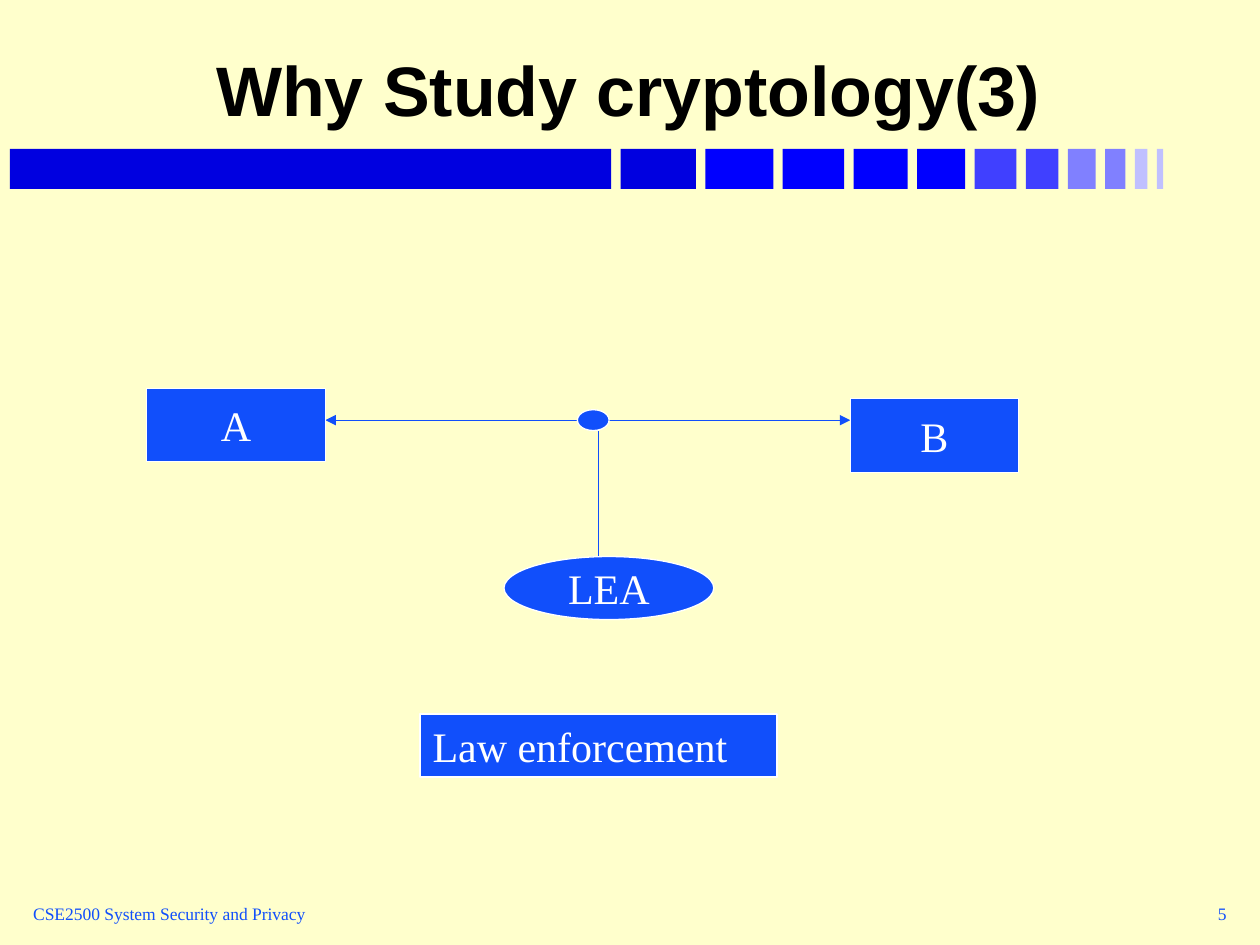
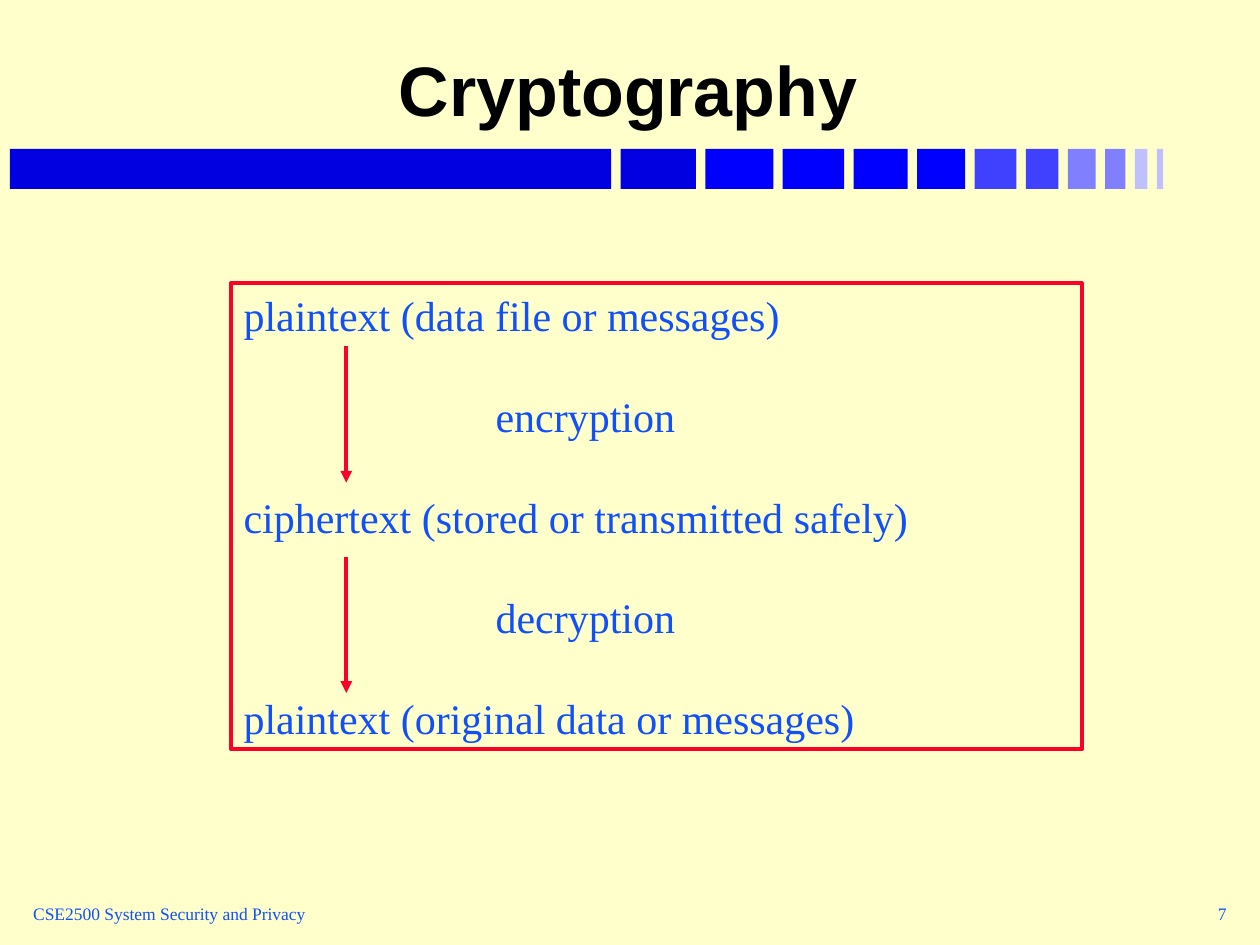
from typing import NamedTuple

from lxml.etree import SubElement
from pptx import Presentation
from pptx.dml.color import RGBColor
from pptx.enum.shapes import MSO_CONNECTOR, MSO_SHAPE
from pptx.enum.text import MSO_ANCHOR, MSO_AUTO_SIZE, PP_ALIGN
from pptx.oxml.ns import qn
from pptx.util import Cm, Pt

# Shared style
CREAM, BLUE, RED, WHITE, BLACK = "FFFFCC", "114FFB", "FC0128", "FFFFFF", "000000"
TITLE_FONT, BODY_FONT = "Arial", "Times New Roman"
BODY_SIZE = 24
LINE_FACTOR = 1.2
COURSE = "CSE2500 System Security and Privacy"

# Band under the title: evenly spaced bars that shrink and fade
BAND_LEFT, BAND_TOP, BAND_HEIGHT, BAND_GAP = 0.2, 3.0, 0.81, 0.19
BAND = [
    (12.12, "0000E0"), (1.52, "0000E0"), (1.37, "0000FF"), (1.24, "0000FF"),
    (1.09, "0000FF"), (0.97, "0000FF"), (0.84, "4040FF"), (0.66, "4040FF"),
    (0.56, "8080FF"), (0.41, "8080FF"), (0.25, "C0C0FF"), (0.13, "C0C0FF"),
]


class Area(NamedTuple):
    """Left, top, width and height in centimetres."""
    left: float
    top: float
    width: float
    height: float

    def lengths(self):
        return [Cm(value) for value in self]


class Node(NamedTuple):
    area: Area
    text: str = ""
    kind: MSO_SHAPE = MSO_SHAPE.RECTANGLE
    align: PP_ALIGN = PP_ALIGN.CENTER
    border: float = 0.75


class Line(NamedTuple):
    """End points in centimetres, with optional arrowheads."""
    start: tuple[float, float]
    end: tuple[float, float]
    color: str = BLUE
    width: float = 0.75
    head: bool = False
    tail: bool = False


class Step(NamedTuple):
    text: str
    indent: float = 0


TITLE_AREA = Area(2.12, 0.42, 21.08, 2.33)
COURSE_AREA = Area(0.42, 17.78, 8.05, 1.27)
NUMBER_AREA = Area(19.69, 17.78, 5.29, 1.27)

# Tapped line between A and B
TAP_LINES = [
    Line((6.56, 8.47), (17.14, 8.47), head=True, tail=True),
    Line((12.06, 11.22), (12.06, 8.68)),
]
TAP_NODES = [
    Node(Area(2.96, 7.83, 3.6, 1.48), "A"),
    Node(Area(17.14, 8.04, 3.39, 1.48), "B"),
    Node(Area(11.64, 8.26, 0.64, 0.42), kind=MSO_SHAPE.OVAL),
    Node(Area(10.16, 11.22, 4.23, 1.27), "LEA", MSO_SHAPE.OVAL),
    Node(Area(8.47, 14.39, 7.2, 1.27), "Law enforcement",
         align=PP_ALIGN.LEFT, border=1),
]

# Encryption and decryption steps
STEPS_AREA = Area(4.66, 5.71, 17.15, 9.4)
STEP_INDENT = 5.08
STEPS = [
    Step("plaintext (data file or messages)"),
    Step("encryption", STEP_INDENT),
    Step("ciphertext (stored or transmitted safely)"),
    Step("decryption", STEP_INDENT),
    Step("plaintext (original data or messages)"),
]
ARROW_X, ARROW_LENGTH, ARROW_TOPS = 6.98, 2.75, (6.98, 11.22)


def paint(target, color: str) -> None:
    """Give a fill or a line a solid colour."""
    fill = getattr(target, "fill", target)
    fill.solid()
    fill.fore_color.rgb = RGBColor.from_string(color)


def write(para, text: str, *, size: float = BODY_SIZE, color: str = BLUE,
          font: str = BODY_FONT, bold: bool = False, align=PP_ALIGN.LEFT,
          leading: bool = True, before: float = 0, indent: float = 0) -> None:
    para.alignment = align
    para.space_before = Pt(before)
    if leading:
        para.line_spacing = Pt(size * LINE_FACTOR)
    if indent:
        para._p.get_or_add_pPr().set("marL", str(Cm(indent)))
    span = para.add_run()
    span.text = text
    span.font.name = font
    span.font.size = Pt(size)
    span.font.bold = bold
    span.font.color.rgb = RGBColor.from_string(color)


def prepare(frame, anchor=MSO_ANCHOR.MIDDLE):
    frame.word_wrap = True
    frame.auto_size = MSO_AUTO_SIZE.NONE
    frame.vertical_anchor = anchor
    return frame


def add_box(page, area: Area, kind=MSO_SHAPE.RECTANGLE, fill: str | None = None,
            border: str | None = None, width: float = 0.75):
    box = page.shapes.add_shape(kind, *area.lengths())
    box.shadow.inherit = False
    if fill:
        paint(box.fill, fill)
    else:
        box.fill.background()
    if border:
        paint(box.line, border)
        box.line.width = Pt(width)
    else:
        box.line.fill.background()
    return box


def add_node(page, node: Node) -> None:
    box = add_box(page, node.area, node.kind, BLUE, WHITE, node.border)
    if node.text:
        frame = prepare(box.text_frame)
        write(frame.paragraphs[0], node.text, color=WHITE, align=node.align)


def add_line(page, line: Line) -> None:
    points = [Cm(value) for value in (*line.start, *line.end)]
    connector = page.shapes.add_connector(MSO_CONNECTOR.STRAIGHT, *points)
    paint(connector.line, line.color)
    connector.line.width = Pt(line.width)
    outline = connector.line._get_or_add_ln()
    for tag, wanted in (("a:headEnd", line.head), ("a:tailEnd", line.tail)):
        if wanted:
            SubElement(outline, qn(tag), type="triangle")
    SubElement(connector._element.spPr, qn("a:effectLst"))


def add_footer(page, area: Area, text: str, align) -> None:
    box = page.shapes.add_textbox(*area.lengths())
    write(prepare(box.text_frame).paragraphs[0], text, size=10, align=align)


def add_page(deck, title: str, number: int):
    page = deck.slides.add_slide(deck.slide_layouts[5])
    # Band
    left = BAND_LEFT
    for width, color in BAND:
        add_box(page, Area(left, BAND_TOP, width, BAND_HEIGHT), fill=color)
        left += width + BAND_GAP
    # Footer
    add_footer(page, COURSE_AREA, COURSE, PP_ALIGN.LEFT)
    add_footer(page, NUMBER_AREA, str(number), PP_ALIGN.RIGHT)
    # Title
    heading = page.shapes.title
    heading.left, heading.top, heading.width, heading.height = TITLE_AREA.lengths()
    frame = prepare(heading.text_frame, MSO_ANCHOR.BOTTOM)
    write(frame.paragraphs[0], title, size=40, color=BLACK, font=TITLE_FONT,
          bold=True, align=PP_ALIGN.CENTER, leading=False)
    return page


def build_tap(deck) -> None:
    page = add_page(deck, "Why Study cryptology(3)", 5)
    for line in TAP_LINES:
        add_line(page, line)
    for node in TAP_NODES:
        add_node(page, node)


def build_steps(deck) -> None:
    page = add_page(deck, "Cryptography", 7)
    box = add_box(page, STEPS_AREA, border=RED, width=2.25)
    frame = prepare(box.text_frame, MSO_ANCHOR.TOP)
    for index, step in enumerate(STEPS):
        para = frame.add_paragraph() if index else frame.paragraphs[0]
        write(para, step.text, indent=step.indent,
              before=BODY_SIZE * LINE_FACTOR if index else 0)
    for top in ARROW_TOPS:
        add_line(page, Line((ARROW_X, top), (ARROW_X, top + ARROW_LENGTH),
                            RED, 2.25, tail=True))


def main() -> None:
    deck = Presentation()
    deck.slide_width, deck.slide_height = Cm(25.4), Cm(19.05)
    paint(deck.slide_master.background.fill, CREAM)
    build_tap(deck)
    build_steps(deck)
    deck.save("out.pptx")


if __name__ == "__main__":
    main()
